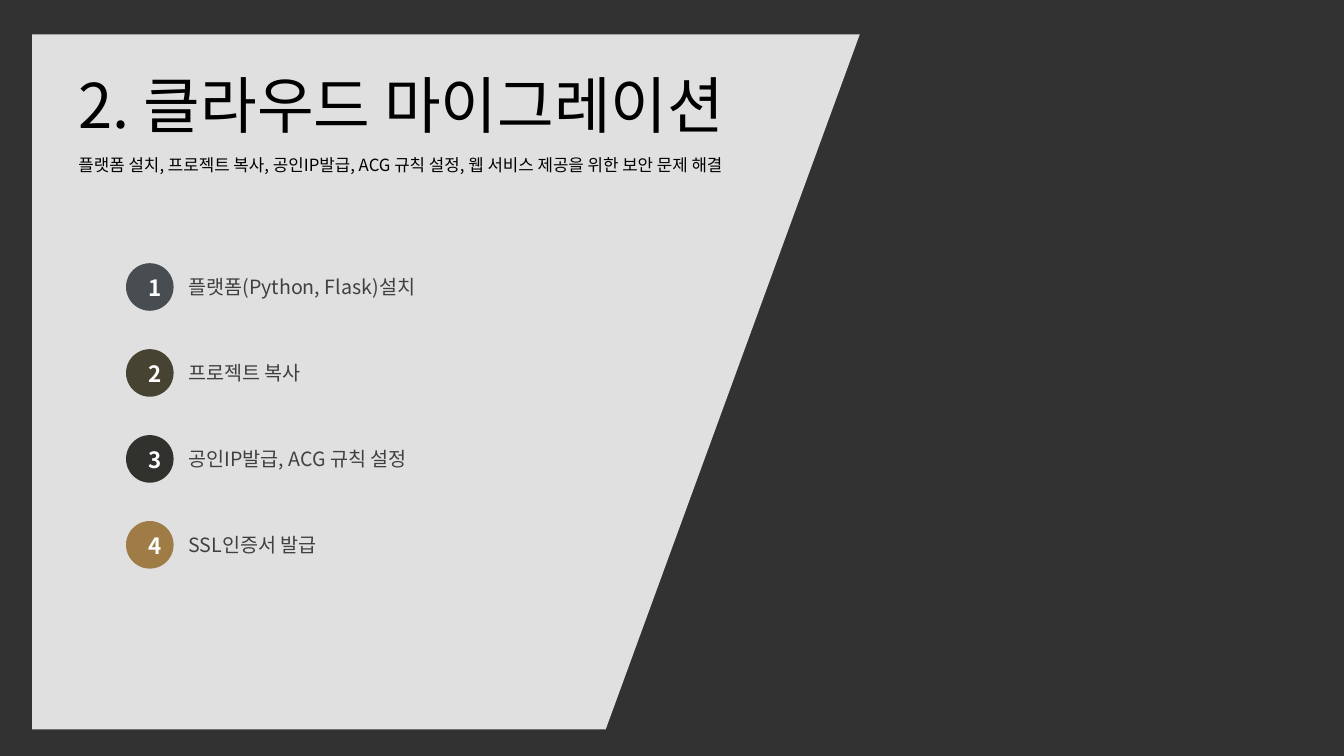
"""Builds the cloud migration section slide."""
import pptx
import pptx.dml.color
import pptx.enum.shapes
import pptx.enum.text
import pptx.oxml
import pptx.oxml.ns
import pptx.util

Pt = pptx.util.Pt
RGB = pptx.dml.color.RGBColor.from_string
SHAPE = pptx.enum.shapes.MSO_SHAPE
ALIGN = pptx.enum.text.PP_ALIGN
ANCHOR = pptx.enum.text.MSO_ANCHOR
qn = pptx.oxml.ns.qn

TITLE = "2. 클라우드 마이그레이션"
LEAD = "플랫폼 설치, 프로젝트 복사, 공인IP발급, ACG 규칙 설정, 웹 서비스 제공을 위한 보안 문제 해결"
STEPS = [
    ("플랫폼(Python, Flask)설치", "484D52", 352),
    ("프로젝트 복사", "464333", 317),
    ("공인IP발급, ACG 규칙 설정", "31312E", 280),
    ("SSL인증서 발급", "9F7B45", 254),
]
VEILS = [60, 50]
PANEL = [(23, 24.5), (614.2, 24.5), (432.7, 521), (23, 521)]
THEME = {
    "font": "Noto Sans CJK KR",
    "black": "000000",
    "white": "FFFFFF",
    "gray": "404040",
    "title": 44,
    "lead": 12,
    "step": 14,
    "digit": 16,
}
WIDE, HIGH = 960, 540
LEFT, TOP, DOT, PITCH = 90, 188, 34, 61.4


def paint(shape, color, alpha=100):
    shape.shadow.inherit = False
    shape.line.fill.background()
    shape.fill.solid()
    shape.fill.fore_color.rgb = RGB(color)
    if alpha < 100:
        tone = shape.element.spPr.find(".//" + qn("a:srgbClr"))
        mark = pptx.oxml.parse_xml(
            f'<a:alpha {pptx.oxml.ns.nsdecls("a")} val="{alpha * 1000}"/>')
        tone.append(mark)


def block(slide, kind, x, y, w, h, color, alpha=100):
    shape = slide.shapes.add_shape(kind, Pt(x), Pt(y), Pt(w), Pt(h))
    paint(shape, color, alpha)


def write(slide, text, x, y, w, h, size, color, anchor=ANCHOR.MIDDLE):
    box = slide.shapes.add_textbox(Pt(x), Pt(y), Pt(w), Pt(h))
    frame = box.text_frame
    frame.text = text
    frame.word_wrap = True
    frame.auto_size = pptx.enum.text.MSO_AUTO_SIZE.SHAPE_TO_FIT_TEXT
    frame.vertical_anchor = anchor
    font = frame.paragraphs[0].runs[0].font
    font.name = THEME["font"]
    font.size = Pt(THEME[size])
    font.color.rgb = RGB(THEME[color])
    east = pptx.oxml.parse_xml(
        f'<a:ea {pptx.oxml.ns.nsdecls("a")} typeface="{THEME["font"]}"/>')
    frame.paragraphs[0].runs[0]._r.rPr.find(qn("a:latin")).addnext(east)
    return frame


def digit(slide, text, x, y):
    frame = write(slide, text, x, y, 16, 19.4, "digit", "white")
    frame.margin_top = frame.margin_bottom = 0
    line = frame.paragraphs[0]
    line.alignment = ALIGN.CENTER
    line.runs[0].font.bold = True


def main():
    deck = pptx.Presentation()
    deck.slide_width, deck.slide_height = Pt(WIDE), Pt(HIGH)
    slide = deck.slides.add_slide(deck.slide_layouts[6])

    for alpha in VEILS:
        block(slide, SHAPE.RECTANGLE, 0, 0, WIDE, HIGH, THEME["black"], alpha)

    first, *rest = [(Pt(x), Pt(y)) for x, y in PANEL]
    pen = slide.shapes.build_freeform(*first)
    pen.add_line_segments(rest, close=True)
    paint(pen.convert_to_shape(), THEME["white"], 85)

    write(slide, TITLE, 49, 44, 538, 60.5, "title", "black")
    write(slide, LEAD, 49, 107.3, 485, 21.8, "lead", "black", ANCHOR.TOP)

    for row, (text, color, width) in enumerate(STEPS):
        y = TOP + row * PITCH
        block(slide, SHAPE.OVAL, LEFT, y, DOT, DOT, color)
        write(slide, text, LEFT + 37.4, y + 4.9, width, 24.2, "step", "gray")
        digit(slide, str(row + 1), LEFT + 9.2, y + 7.5)

    deck.save("out.pptx")


if __name__ == "__main__":
    main()
